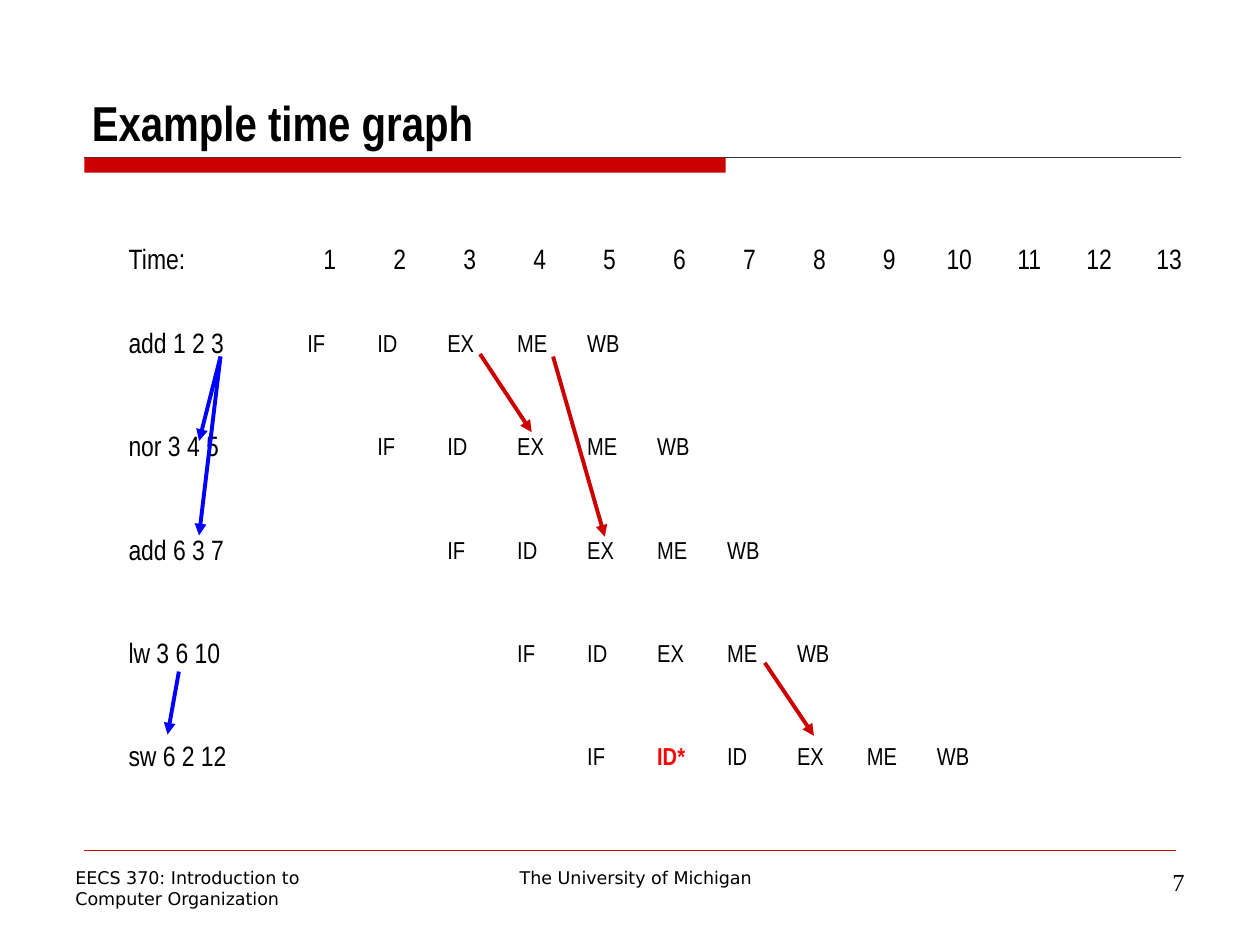
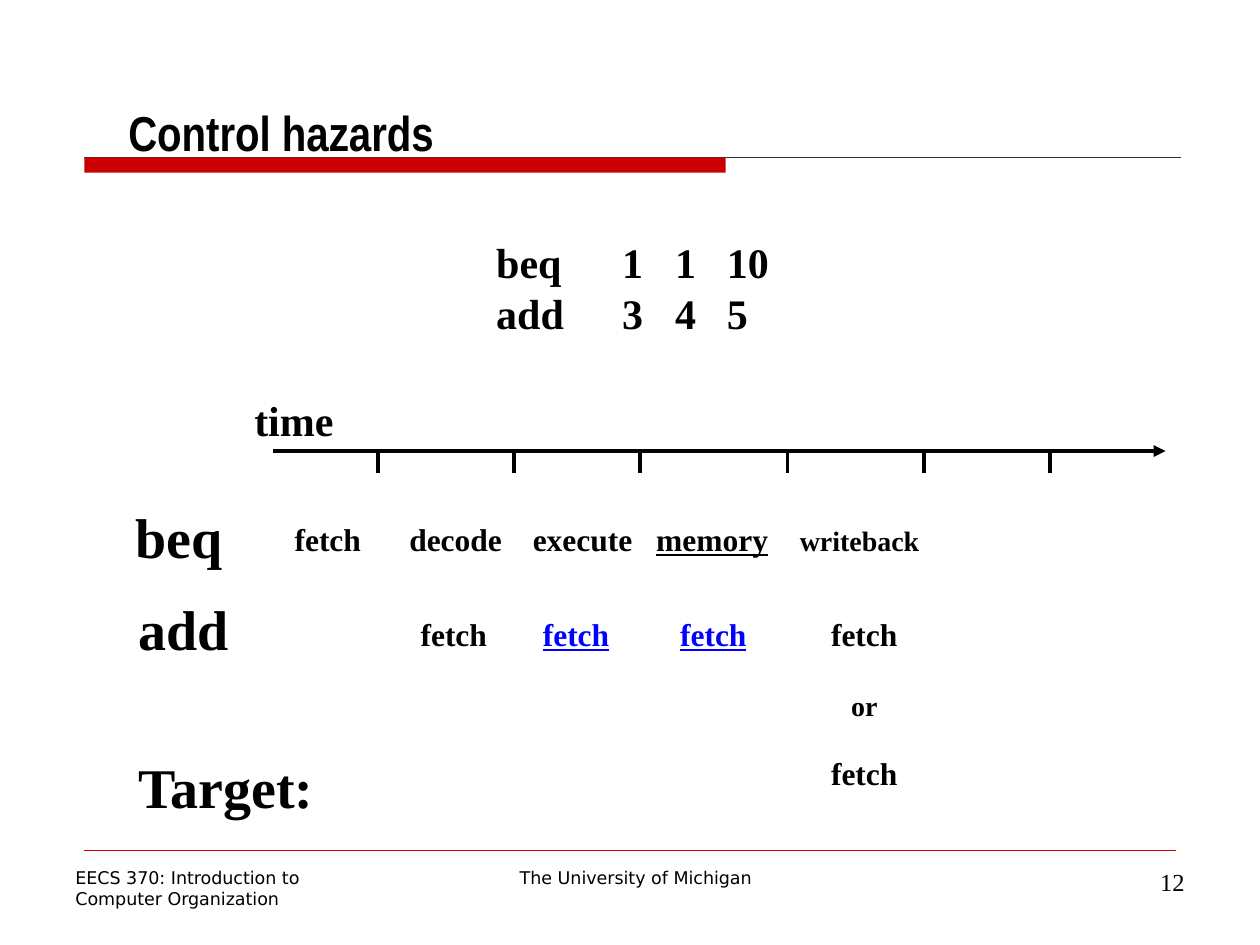
from pptx import Presentation
from pptx.dml.color import RGBColor
from pptx.enum.shapes import MSO_CONNECTOR, MSO_SHAPE
from pptx.enum.text import MSO_ANCHOR, PP_ALIGN
from pptx.oxml.ns import qn
from pptx.util import Inches, Pt
from lxml.etree import SubElement

COLORS = {"black": "000000", "rule": "333333", "band": "CC0000",
          "red": "FF0000", "blue": "0000FF"}
NARROW, SANS, SERIF = "Arial Narrow", "DejaVu Sans", "Times New Roman"
WIDTH, HEIGHT = 10, 7.5
LEFT, RIGHT = PP_ALIGN.LEFT, PP_ALIGN.RIGHT
CENTER = PP_ALIGN.CENTER

FOOTERS = [
    ("EECS 370: Introduction to\nComputer Organization", 0.5, 2.75, LEFT),
    ("The University of Michigan", 3.17, 3.75, CENTER),
]

STAGES = ["IF", "ID", "EX", "ME", "WB"]
STALL = "ID*"
CYCLES = 13
PIPELINE = [
    ("add 1 2 3", STAGES),
    ("nor 3 4 5", STAGES),
    ("add 6 3 7", STAGES),
    ("lw 3 6 10", STAGES),
    ("sw 6 2 12", ["IF", STALL] + STAGES[1:]),
]
TABLE = dict(left=0.92, top=1.92, width=8.64, label=1.42, head=0.41, row=0.82)
DEPENDENCES = [
    ("band", (3.81, 2.81), (4.22, 3.43)),
    ("band", (4.39, 2.83), (4.8, 4.26)),
    ("band", (6.07, 5.26), (6.46, 5.84)),
    ("blue", (1.75, 2.83), (1.58, 3.5)),
    ("blue", (1.75, 2.83), (1.58, 4.25)),
    ("blue", (1.42, 5.33), (1.33, 5.83)),
]

AXIS_Y, AXIS_START, AXIS_END = 3.58, 2.17, 9.25
TICK_XS, TICK_LENGTH = [3, 4.08, 5.08, 6.25, 7.33, 8.33], 0.17
LABELS = [
    ("time", 1.92, 3.08, 24),
    ("beq", 0.98, 3.94, 32),
    ("add", 1, 4.67, 32),
    ("Target:", 1, 5.92, 32),
]
CODE = ["beq\t1\t1\t10", "add\t3\t4\t5"]
CODE_TABS = [1, 1.42, 1.83]
BEQ_STAGES = [("fetch", {}), ("decode", {}), ("execute", {}),
              ("memory", {"underline": True}), ("writeback", {"size": 16})]
BEQ_TABS = [0.91, 1.89, 2.87, 4.01]
GUESS = {"color": "blue", "underline": True}
ADD_STAGES = [("fetch", {}), ("fetch", GUESS), ("fetch", GUESS)]
ADD_TABS = [0.97, 2.06]
OUTCOMES = [("fetch", 18, 0), ("or", 16, 20.5), ("fetch", 18, 18.5)]


def rgb(name):
    return RGBColor.from_string(COLORS[name])


def style(r, font, size, color="black", bold=False, underline=False):
    f = r.font
    f.name, f.size, f.bold = font, Pt(size), bold
    f.color.rgb = rgb(color)
    if underline:
        f.underline = True


def add_text(s, text, box, font, size, bold=False, align=LEFT,
             anchor=MSO_ANCHOR.TOP, tabs=()):
    tf = s.shapes.add_textbox(*map(Inches, box)).text_frame
    tf.word_wrap = True
    tf.vertical_anchor = anchor
    tf.text = text
    for p in tf.paragraphs:
        p.alignment = align
        add_tabs(p, tabs)
        for r in p.runs:
            style(r, font, size, bold=bold)
    return tf


def add_tabs(p, tabs):
    if tabs:
        tab_list = SubElement(p._p.get_or_add_pPr(), qn("a:tabLst"))
        for tab in tabs:
            SubElement(tab_list, qn("a:tab"), pos=str(Inches(tab)), algn="l")


def add_line(s, start, end, color, width, arrow=False):
    line = s.shapes.add_connector(MSO_CONNECTOR.STRAIGHT,
                                  *map(Inches, (*start, *end)))
    line.line.color.rgb = rgb(color)
    line.line.width = Pt(width)
    if arrow:
        SubElement(line.line._get_or_add_ln(), qn("a:tailEnd"), type="triangle")
    SubElement(line._element.spPr, qn("a:effectLst"))


def add_slide(prs, title, title_box, number):
    s = prs.slides.add_slide(prs.slide_layouts[6])
    add_line(s, (0.67, 1.25), (9.37, 1.25), "rule", 0.75)
    band = s.shapes.add_shape(MSO_SHAPE.RECTANGLE,
                              *map(Inches, (0.67, 1.25, 5.09, 0.12)))
    band.shadow.inherit = False
    band.fill.solid()
    band.fill.fore_color.rgb = rgb("band")
    band.line.fill.background()
    add_line(s, (0.67, 6.75), (9.33, 6.75), "band", 0.25)
    for text, left, width, align in FOOTERS:
        add_text(s, text, (left, 6.83, width, 0.44), SANS, 10, align=align)
    add_text(s, str(number), (7.17, 6.83, 2.33, 0.52), SERIF, 14, align=RIGHT)
    add_text(s, title, title_box, NARROW, 28, bold=True,
             anchor=MSO_ANCHOR.BOTTOM)
    return s


def fill_cell(cell, text, size, align=LEFT, anchor=MSO_ANCHOR.MIDDLE):
    cell.vertical_anchor = anchor
    cell.margin_top = Inches(0.06)
    cell.text = text
    p = cell.text_frame.paragraphs[0]
    p.alignment, p.line_spacing = align, 0.97
    stalled = text == STALL
    style(p.runs[0], NARROW, size, "red" if stalled else "black", stalled)


def add_time_table(s):
    t = TABLE
    rows = len(PIPELINE) + 1
    height = t["head"] + len(PIPELINE) * t["row"]
    table = s.shapes.add_table(rows, CYCLES + 1, *map(
        Inches, (t["left"], t["top"], t["width"], height))).table
    table.first_row = table.horz_banding = False
    for i, column in enumerate(table.columns):
        cycle_width = (t["width"] - t["label"]) / CYCLES
        column.width = Inches(cycle_width if i else t["label"])
    for i, row in enumerate(table.rows):
        row.height = Inches(t["row"] if i else t["head"])
    for cell in table.iter_cells():
        cell.fill.background()

    fill_cell(table.cell(0, 0), "Time:", 16, anchor=MSO_ANCHOR.TOP)
    for cycle in range(1, CYCLES + 1):
        fill_cell(table.cell(0, cycle), str(cycle), 16, CENTER, MSO_ANCHOR.TOP)
    for i, (instruction, stages) in enumerate(PIPELINE, 1):
        fill_cell(table.cell(i, 0), instruction, 16)
        for cycle, stage in enumerate(stages, i):
            fill_cell(table.cell(i, cycle), stage, 14)


def add_stages(s, stages, box, tabs):
    p = add_text(s, "", box, SERIF, 18, tabs=tabs).paragraphs[0]
    for i, (stage, look) in enumerate(stages):
        if i:
            r = p.add_run()
            r.text = "\t"
            style(r, SERIF, 18, bold=True)
        r = p.add_run()
        r.text = stage
        style(r, SERIF, **{"size": 18, "bold": True, **look})


def add_outcomes(s, box):
    text = "\n".join(word for word, _, _ in OUTCOMES)
    tf = add_text(s, text, box, SERIF, 18, bold=True, align=CENTER)
    for p, (_, size, gap) in zip(tf.paragraphs, OUTCOMES):
        p.runs[0].font.size = Pt(size)
        if gap:
            p.space_before = Pt(gap)


def build_time_graph(prs):
    s = add_slide(prs, "Example time graph", (0.63, 0.33, 8.75, 0.92), 7)
    add_time_table(s)
    for color, start, end in DEPENDENCES:
        add_line(s, start, end, color, 2.25, arrow=True)


def build_control_hazards(prs):
    s = add_slide(prs, "Control hazards", (0.92, 0.08, 8.33, 1.25), 12)
    add_text(s, "\n".join(CODE), (3.84, 1.83, 2.6, 0.9), SERIF, 24,
             bold=True, tabs=CODE_TABS)
    add_line(s, (AXIS_START, AXIS_Y), (AXIS_END, AXIS_Y), "black", 2.25,
             arrow=True)
    for x in TICK_XS:
        add_line(s, (x, AXIS_Y), (x, AXIS_Y + TICK_LENGTH), "black", 2.25)
    for text, left, top, size in LABELS:
        add_text(s, text, (left, top, 1.8, size / 50), SERIF, size, bold=True)
    add_stages(s, BEQ_STAGES, (2.24, 4.08, 5.4, 0.4), BEQ_TABS)
    add_stages(s, ADD_STAGES, (3.24, 4.83, 3, 0.4), ADD_TABS)
    add_outcomes(s, (6.46, 4.83, 0.8, 1.83))


def main():
    prs = Presentation()
    prs.slide_width, prs.slide_height = Inches(WIDTH), Inches(HEIGHT)
    build_time_graph(prs)
    build_control_hazards(prs)
    prs.save("out.pptx")


if __name__ == "__main__":
    main()
